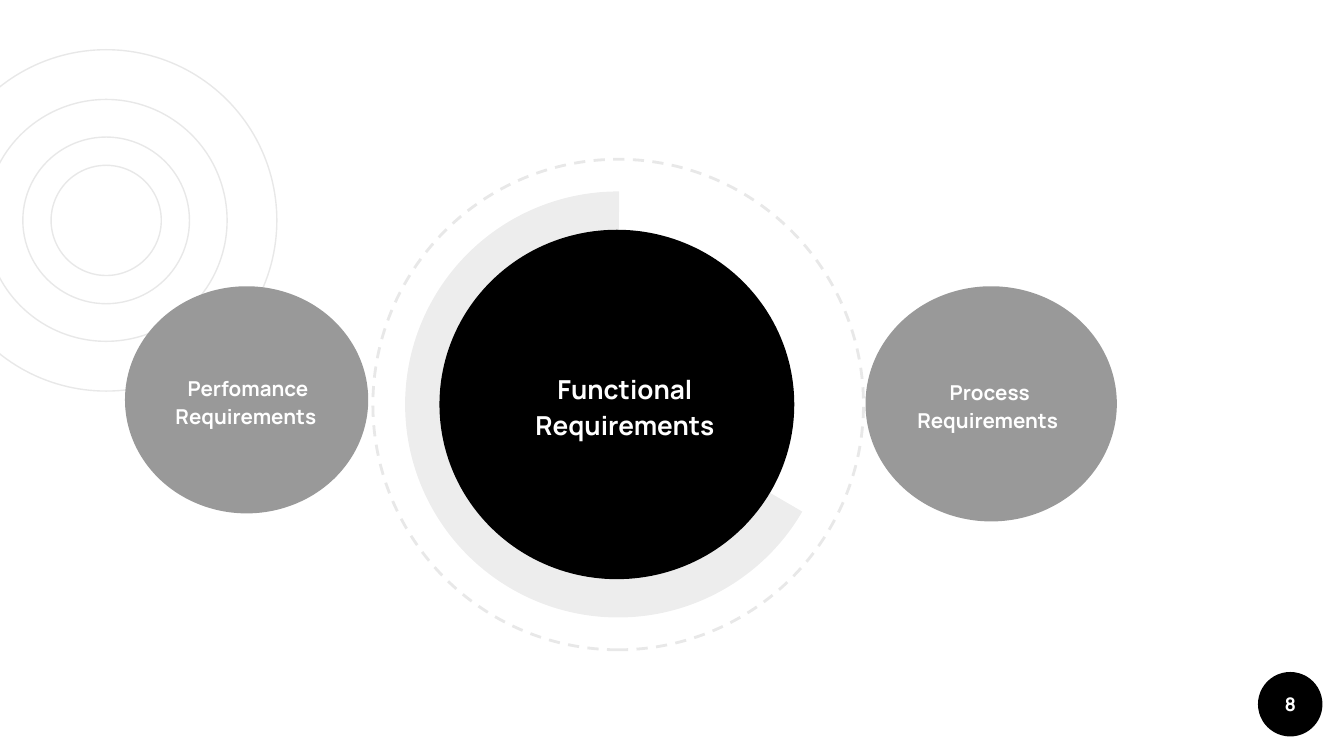
"""Build a slide of three requirement circles with decorative rings."""
from dataclasses import dataclass

from lxml import etree
from pptx import Presentation
from pptx.dml.color import RGBColor
from pptx.enum.dml import MSO_LINE
from pptx.enum.shapes import MSO_SHAPE
from pptx.enum.text import MSO_ANCHOR, PP_ALIGN
from pptx.oxml.ns import qn
from pptx.util import Inches, Pt

OVAL = MSO_SHAPE.OVAL
PIE = MSO_SHAPE.PIE
RECTANGLE = MSO_SHAPE.RECTANGLE
DASH = MSO_LINE.DASH
MIDDLE = MSO_ANCHOR.MIDDLE
CENTER = PP_ALIGN.CENTER

FONT = "Manrope"
COLORS = {"black": "000000", "gray": "999999", "ring": "E8E8E8", "white": "FFFFFF"}


@dataclass
class Box:
    left: float
    top: float
    width: float
    height: float

    def lengths(self):
        return [Inches(v) for v in (self.left, self.top, self.width, self.height)]


@dataclass
class Bubble:
    oval: Box
    label: Box
    text: str
    size: int
    color: str
    spacing: float = 1.15
    filled_label: bool = False


RING_CENTER = (0.79, 1.64)
RING_DIAMETERS = (2.54, 1.24, 1.8, 0.82)
HUB_CENTER = (4.6, 3.01)
BADGE = Box(9.36, 5, 0.48, 0.48)
BADGE_BUBBLE = Bubble(BADGE, BADGE, "8", 10, "black", 1.0)
REQUIREMENTS = [
    Bubble(Box(3.27, 1.71, 2.64, 2.6), Box(3.61, 2.42, 2.08, 1.18),
           "Functional Requirements", 14, "black"),
    Bubble(Box(0.93, 2.13, 1.81, 1.69), Box(1.2, 2.4, 1.29, 1.16),
           "Perfomance Requirements ", 11, "gray", filled_label=True),
    Bubble(Box(6.44, 2.13, 1.87, 1.75), Box(6.7, 2.41, 1.33, 1.2),
           "Process Requirements ", 11, "gray", filled_label=True),
]


def rgb(name: str) -> RGBColor:
    return RGBColor.from_string(COLORS[name])


def centered(center: tuple, diameter: float) -> Box:
    x, y = center
    return Box(x - diameter / 2, y - diameter / 2, diameter, diameter)


def add_filled(s, kind, box: Box, color: str):
    sp = s.shapes.add_shape(kind, *box.lengths())
    sp.shadow.inherit = False
    sp.fill.solid()
    sp.fill.fore_color.rgb = rgb(color)
    sp.line.fill.background()
    return sp


def add_ring(s, box: Box, weight: float):
    sp = s.shapes.add_shape(OVAL, *box.lengths())
    sp.shadow.inherit = False
    sp.fill.background()
    sp.line.color.rgb = rgb("ring")
    sp.line.width = Pt(weight)
    return sp


def add_arc_band(s, box: Box) -> None:
    sp = add_filled(s, PIE, box, "black")
    sp.adjustments[0], sp.adjustments[1] = 18.12, 162.15
    fill_color = sp.fill._xPr.find(qn("a:solidFill"))[0]
    etree.SubElement(fill_color, qn("a:alpha"), val="7000")


def add_bubble(s, bubble: Bubble) -> None:
    add_filled(s, OVAL, bubble.oval, bubble.color)
    if bubble.filled_label:
        sp = add_filled(s, RECTANGLE, bubble.label, bubble.color)
    else:
        sp = s.shapes.add_textbox(*bubble.label.lengths())
    tf = sp.text_frame
    tf.word_wrap = True
    tf.vertical_anchor = MIDDLE
    tf.margin_left = tf.margin_right = tf.margin_top = tf.margin_bottom = Inches(0.1)
    tf.text = bubble.text
    p = tf.paragraphs[0]
    p.alignment = CENTER
    p.line_spacing = bubble.spacing
    font = p.runs[0].font
    font.name, font.size, font.bold = FONT, Pt(bubble.size), True
    font.color.rgb = rgb("white")


def main() -> None:
    prs = Presentation()
    prs.slide_width = Inches(10)
    prs.slide_height = prs.slide_width * 9 // 16
    s = prs.slides.add_slide(prs.slide_layouts[6])
    s.background.fill.solid()
    s.background.fill.fore_color.rgb = rgb("white")

    for diameter in RING_DIAMETERS:
        add_ring(s, centered(RING_CENTER, diameter), 0.75)
    add_bubble(s, BADGE_BUBBLE)
    dashed = add_ring(s, centered(HUB_CENTER, 3.65), 1.5)
    dashed.line.dash_style = DASH
    dashed.rotation = 270
    add_arc_band(s, centered(HUB_CENTER, 3.17))
    for bubble in REQUIREMENTS:
        add_bubble(s, bubble)

    prs.save("out.pptx")


if __name__ == "__main__":
    main()
